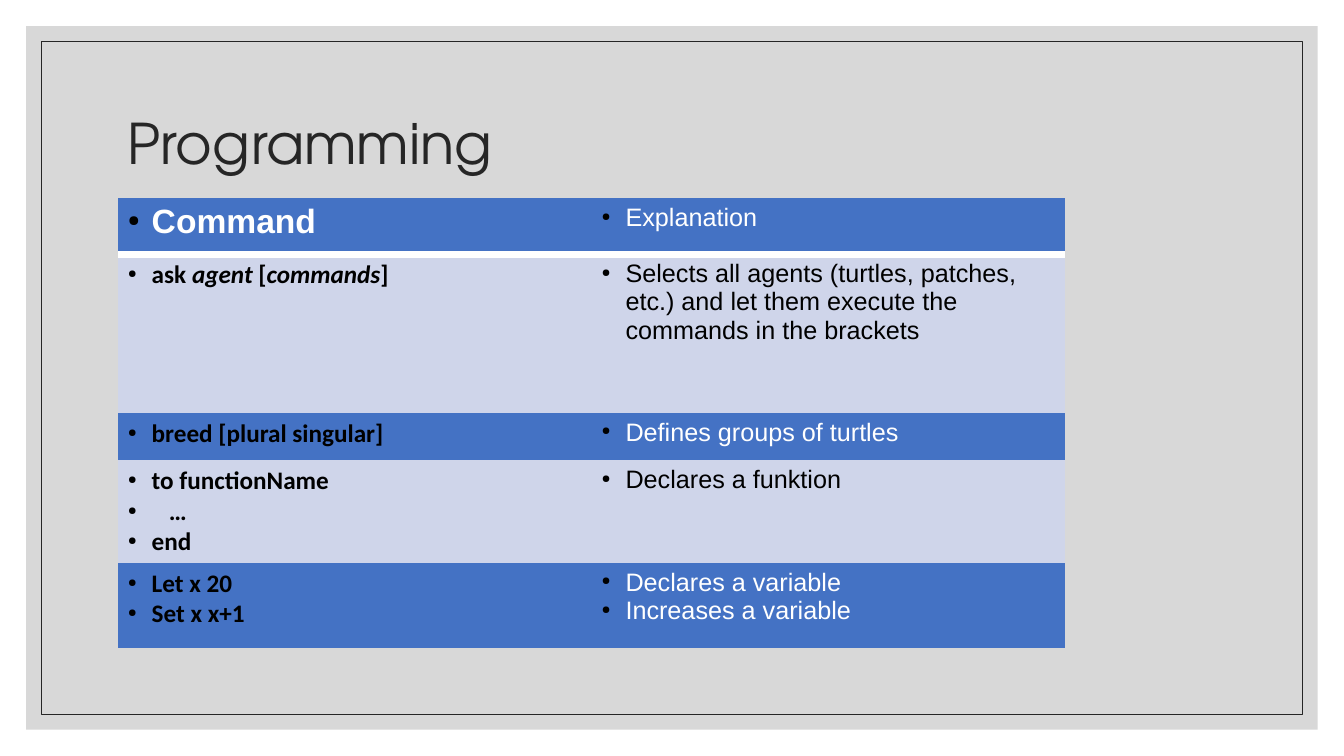
"""Build the Programming slide with its table of commands."""
from lxml.etree import SubElement
from pptx import Presentation
from pptx.dml.color import RGBColor
from pptx.enum.shapes import MSO_SHAPE
from pptx.enum.text import MSO_ANCHOR
from pptx.oxml import parse_xml
from pptx.oxml.ns import nsdecls, qn
from pptx.util import Cm, Pt

BLACK = RGBColor(0x00, 0x00, 0x00)
WHITE = RGBColor(0xFF, 0xFF, 0xFF)
INK = RGBColor(0x26, 0x26, 0x26)
GREY = RGBColor(0xBF, 0xBF, 0xBF)
BLUE = RGBColor(0x44, 0x72, 0xC4)
PALE = RGBColor(0xCF, 0xD5, 0xEA)
NO_STYLE = "{2D5ABB26-0587-4C30-8999-92F81FD0307C}"

ROWS = [
    (1.42, ["Command"], ["Explanation"]),
    (3.99, ["ask *agent* [*commands*]"],
     ["Selects all agents (turtles, patches, etc.) and let them execute the commands in the brackets"]),
    (1.19, ["breed [plural singular]"], ["Defines groups of turtles"]),
    (2.59, ["to functionName", "   …", "end"], ["Declares a funktion"]),
    (2.13, ["Let x 20", "Set x x+1"], ["Declares a variable", "Increases a variable"]),
]


def style_font(font, name, size, color, bold=False):
    font.name = name
    font.size = Pt(size)
    font.bold = bold
    font.color.rgb = color


def add_bullet(paragraph):
    properties = paragraph._p.get_or_add_pPr()
    properties.set("marL", str(Cm(0.6)))
    properties.set("indent", str(Cm(-0.6)))
    bullet_color = SubElement(properties, qn("a:buClr"))
    SubElement(bullet_color, qn("a:srgbClr"), val=str(BLACK))
    SubElement(properties, qn("a:buSzPct"), val="45000")
    SubElement(properties, qn("a:buChar"), char="●")


presentation = Presentation()
presentation.slide_width = Cm(33.87)
presentation.slide_height = Cm(19.05)
slide = presentation.slides.add_slide(presentation.slide_layouts[6])

panel, frame = [
    slide.shapes.add_shape(MSO_SHAPE.RECTANGLE, Cm(inset), Cm(inset),
                           presentation.slide_width - Cm(2 * inset),
                           presentation.slide_height - Cm(2 * inset))
    for inset in (0.66, 1.04)
]
panel.shadow.inherit = False
panel.fill.solid()
panel.fill.fore_color.rgb = GREY
panel_color = panel._element.spPr.find(".//" + qn("a:srgbClr"))
SubElement(panel_color, qn("a:alpha"), val="60000")
panel.line.fill.background()
frame.shadow.inherit = False
frame.fill.background()
frame.line.color.rgb = INK
frame.line.width = Pt(0.5)

title = slide.shapes.add_textbox(Cm(2.97), Cm(1.78), Cm(27.94), Cm(3.81)).text_frame
title.word_wrap = True
title.vertical_anchor = MSO_ANCHOR.MIDDLE
paragraph = title.paragraphs[0]
paragraph.text = "Programming"
paragraph.line_spacing = 0.9
style_font(paragraph.font, "TeX Gyre Adventor", 40, INK)

table_shape = slide.shapes.add_table(len(ROWS), 2, Cm(2.97), Cm(5), Cm(23.88), Cm(11.32))
table = table_shape.table
table.horz_banding = False
table._tbl.tblPr.find(qn("a:tableStyleId")).text = NO_STYLE

for row_index, (height, *columns) in enumerate(ROWS):
    table.rows[row_index].height = Cm(height)
    is_header = row_index == 0
    is_blue = row_index % 2 == 0
    for column_index, lines in enumerate(columns):
        is_command = column_index == 0
        cell = table.cell(row_index, column_index)
        if is_header:
            cell._tc.get_or_add_tcPr().append(parse_xml(
                f'<a:lnB {nsdecls("a")} w="{Pt(6)}"><a:solidFill>'
                f'<a:srgbClr val="{WHITE}"/></a:solidFill></a:lnB>'))
        cell.fill.solid()
        cell.fill.fore_color.rgb = BLUE if is_blue else PALE
        name = "Calibri" if is_command and not is_header else "Arial"
        size = 24 if is_command and is_header else 18
        color = WHITE if is_header or (is_blue and not is_command) else BLACK
        for line_index, line in enumerate(lines):
            text_frame = cell.text_frame
            paragraph = text_frame.add_paragraph() if line_index else text_frame.paragraphs[0]
            add_bullet(paragraph)
            style_font(paragraph.font, name, size, color, is_command)
            for part_index, part in enumerate(line.split("*")):
                if part:
                    run = paragraph.add_run()
                    run.text = part
                    if part_index % 2:
                        run.font.italic = True

presentation.save("out.pptx")
